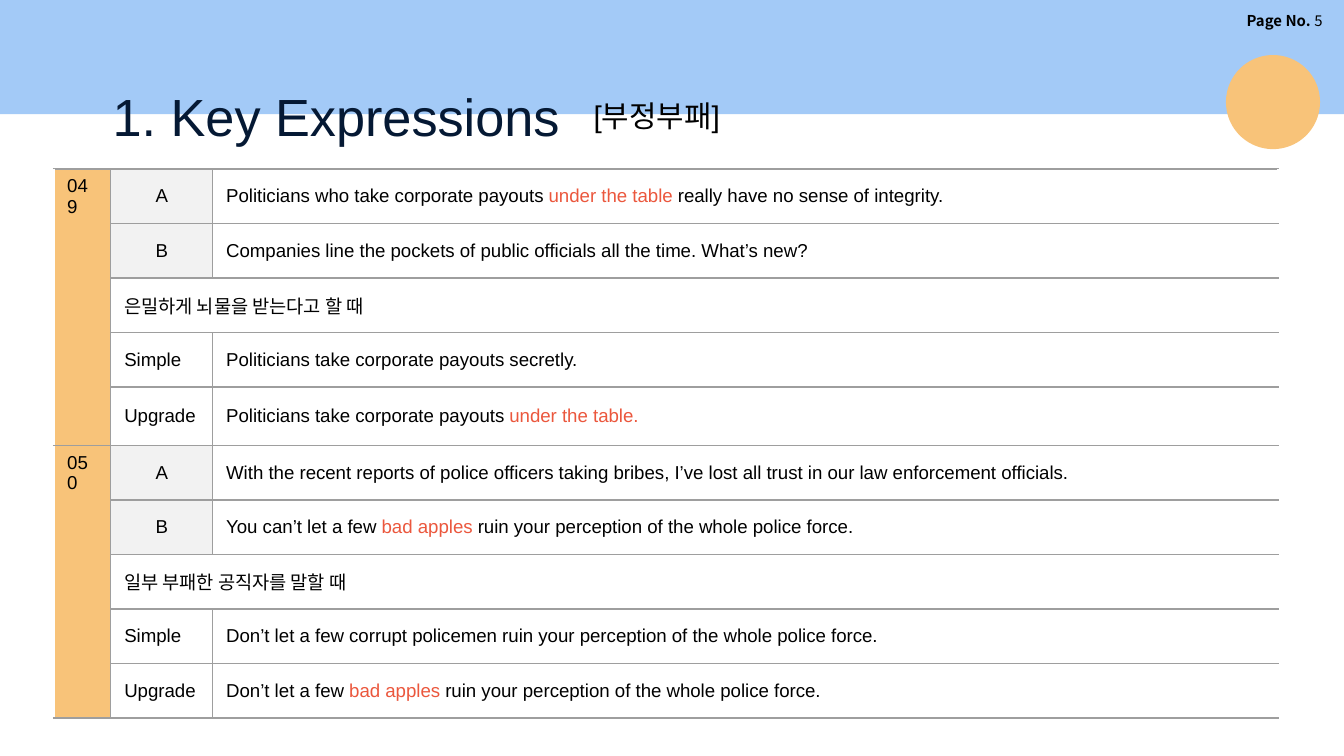
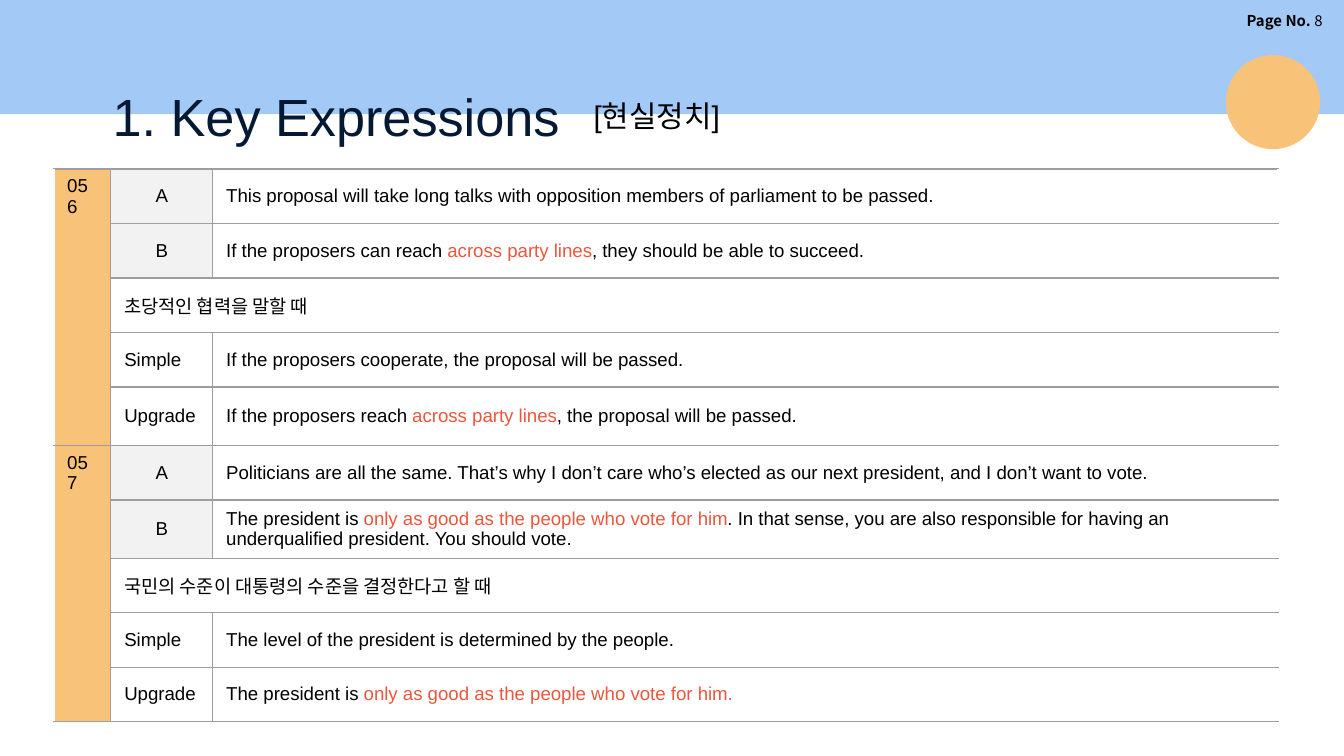
import dataclasses

import lxml.etree
import pptx
import pptx.dml.color
import pptx.enum.shapes
import pptx.enum.text
import pptx.oxml.ns
import pptx.util

Pt = pptx.util.Pt
qn = pptx.oxml.ns.qn
PP_ALIGN = pptx.enum.text.PP_ALIGN
MSO_ANCHOR = pptx.enum.text.MSO_ANCHOR
MSO_SHAPE = pptx.enum.shapes.MSO_SHAPE


@dataclasses.dataclass(frozen=True)
class Theme:
    sky: str = "A3CAF7"
    amber: str = "F8C379"
    navy: str = "051934"
    ink: str = "000000"
    accent: str = "EB573D"
    label: str = "F2F2F2"
    rule: str = "9E9E9E"
    white: str = "FFFFFF"
    latin: str = "Arial"
    korean: str = "Noto Sans CJK KR"
    title_size: float = 28
    topic_size: float = 16
    body_size: float = 10
    page_size: float = 8
    rule_width: float = 0.75
    edge_width: float = 1


T = Theme()

HEADER = (0, 0, 720, 80)
TABLE = (28.8, 90.6, 656, 292)
COLUMNS = (30.6, 54.6, 570.8)
LABELS = ("A", "B", None, "Simple", "Upgrade")

PAGES = [
    ("5", "[부정부패]", [
        ("049", [
            "Politicians who take corporate payouts *under the table *really have no sense of integrity.",
            "Companies line the pockets of public officials all the time. What’s new?",
            "은밀하게 뇌물을 받는다고 할 때",
            "Politicians take corporate payouts secretly.",
            "Politicians take corporate payouts *under the table.*",
        ]),
        ("050", [
            "With the recent reports of police officers taking bribes, "
            "I’ve lost all trust in our law enforcement officials.",
            "You can’t let a few *bad apples *ruin your perception of the whole police force.",
            "일부 부패한 공직자를 말할 때",
            "Don’t let a few corrupt policemen ruin your perception of the whole police force.",
            "Don’t let a few *bad apples* ruin your perception of the whole police force.",
        ]),
    ]),
    ("8", "[현실정치]", [
        ("056", [
            "This proposal will take long talks with opposition members of parliament to be passed.",
            "If the proposers can reach *across party lines*, they should be able to succeed.",
            "초당적인 협력을 말할 때",
            "If the proposers cooperate, the proposal will be passed.",
            "If the proposers reach *across party lines*, the proposal will be passed.",
        ]),
        ("057", [
            "Politicians are all the same. That’s why I don’t care who’s elected "
            "as our next president, and I don’t want to vote.",
            "The president is *only as good as the people who vote for him*. In that sense, "
            "you are also responsible for having an underqualified president. You should vote.",
            "국민의 수준이 대통령의 수준을 결정한다고 할 때",
            "The level of the president is determined by the people.",
            "The president is *only as good as the people who vote for him.*",
        ]),
    ]),
]


def rgb(color):
    return pptx.dml.color.RGBColor.from_string(color)


def set_font(p, size, color=T.ink, name=T.latin):
    p.font.size = Pt(size)
    p.font.color.rgb = rgb(color)
    p.font.name = name
    latin = p.font._element.find(qn("a:latin"))
    ea = lxml.etree.Element(qn("a:ea"), typeface=T.korean)
    latin.addnext(ea)


def add_block(s, kind, x, y, w, h, color):
    sp = s.shapes.add_shape(kind, Pt(x), Pt(y), Pt(w), Pt(h))
    sp.shadow.inherit = False
    sp.fill.solid()
    sp.fill.fore_color.rgb = rgb(color)
    sp.line.fill.background()


def add_text(s, x, y, w, h, margins=(7.2, 3.6), grow=True):
    sp = s.shapes.add_textbox(Pt(x), Pt(y), Pt(w), Pt(h))
    tf = sp.text_frame
    tf.word_wrap = True
    tf.margin_left = tf.margin_right = Pt(margins[0])
    tf.margin_top = tf.margin_bottom = Pt(margins[1])
    if grow:
        tf.auto_size = pptx.enum.text.MSO_AUTO_SIZE.SHAPE_TO_FIT_TEXT
    return tf.paragraphs[0]


def add_header(s, box, page, topic):
    x, y, w, h = box
    add_block(s, MSO_SHAPE.RECTANGLE, x, y, w, 61.2, T.sky)

    p = add_text(s, x + w - 109.4, y + 2.9, 104.4, 16.6, (6.5, 3.6))
    p.alignment = PP_ALIGN.RIGHT
    set_font(p, T.page_size, name=T.korean)
    r = p.add_run()
    r.text = "Page No. "
    r.font.bold = True
    p.add_run().text = page

    p = add_text(s, x + 53.3, y + 35.3, 257.8, 45.4, (7.2, 10), grow=False)
    set_font(p, T.title_size, T.navy)
    p.add_run().text = "1. Key Expressions"

    p = add_text(s, x + 311, y + 49, 175.7, 26.6)
    set_font(p, T.topic_size)
    p.add_run().text = topic

    add_block(s, MSO_SHAPE.OVAL, x + w - 63.2, y + 29.5, 50.4, 50.4, T.amber)


def set_borders(cell, left=T.rule, right=T.rule):
    tcPr = cell._tc.get_or_add_tcPr()
    for i, (side, color) in enumerate(zip("LRTB", (left, right, T.rule, T.rule))):
        width = T.edge_width if color == T.white else T.rule_width
        ln = lxml.etree.Element(qn(f"a:ln{side}"), w=str(int(Pt(width))))
        fill = lxml.etree.SubElement(ln, qn("a:solidFill"))
        lxml.etree.SubElement(fill, qn("a:srgbClr"), val=color)
        tcPr.insert(i, ln)


def fill_cell(cell, text, color=None, anchor=MSO_ANCHOR.MIDDLE, align=PP_ALIGN.LEFT):
    cell.vertical_anchor = anchor
    if color:
        cell.fill.solid()
        cell.fill.fore_color.rgb = rgb(color)
    else:
        cell.fill.background()
    p = cell.text_frame.paragraphs[0]
    p.alignment = align
    set_font(p, T.body_size)
    for i, part in enumerate(text.split("*")):
        if part:
            r = p.add_run()
            r.text = part
            if i % 2:
                r.font.color.rgb = rgb(T.accent)


def add_expressions(s, box, entries):
    x, y, w, h = box
    count = len(entries) * len(LABELS)
    frame = s.shapes.add_table(count, len(COLUMNS), Pt(x), Pt(y), Pt(w), Pt(h))
    table = frame.table
    table.first_row = table.horz_banding = False
    for column, width in zip(table.columns, COLUMNS):
        column.width = Pt(width)
    for row in table.rows:
        row.height = Pt(h / count)

    for n, (number, sentences) in enumerate(entries):
        top = n * len(LABELS)
        table.cell(top, 0).merge(table.cell(top + len(LABELS) - 1, 0))
        fill_cell(table.cell(top, 0), number, T.amber, MSO_ANCHOR.TOP)
        for i, (label, sentence) in enumerate(zip(LABELS, sentences)):
            number_cell, label_cell, text_cell = (table.cell(top + i, c) for c in range(3))
            set_borders(number_cell, left=T.white)
            set_borders(label_cell, right=T.rule if label else T.white)
            set_borders(text_cell, right=T.white)
            if label is None:
                label_cell.merge(text_cell)
                fill_cell(label_cell, sentence)
                continue
            speaker = label in ("A", "B")
            fill_cell(label_cell, label, T.label if speaker else None,
                      align=PP_ALIGN.CENTER if speaker else PP_ALIGN.LEFT)
            fill_cell(text_cell, sentence)


def main():
    prs = pptx.Presentation()
    prs.slide_width, prs.slide_height = Pt(720), Pt(405)
    for page, topic, entries in PAGES:
        s = prs.slides.add_slide(prs.slide_layouts[6])
        add_header(s, HEADER, page, topic)
        add_expressions(s, TABLE, entries)
    prs.save("out.pptx")


if __name__ == "__main__":
    main()
